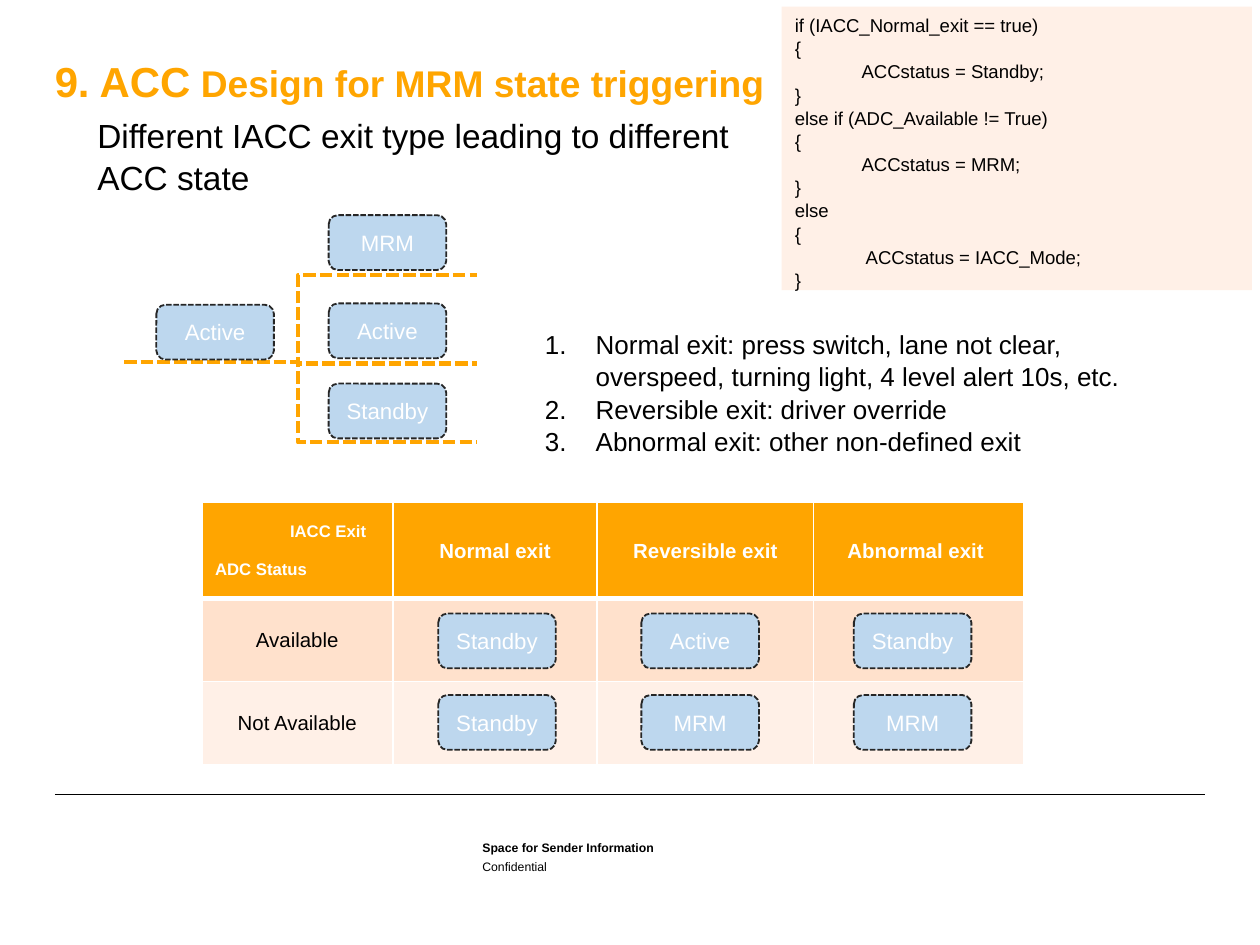
import pptx
import pptx.util
import pptx.dml.color
import pptx.enum.dml
import pptx.enum.shapes
import pptx.enum.text
import pptx.oxml.ns
import lxml.etree

PX = 9144  # EMU per px, 100 px to the inch
FONT = "Arial"
COLORS = {
    "orange": "FFA500", "peach": "FFE1CC", "cream": "FFF0E7", "blue": "BDD7EE",
    "outline": "262626", "black": "000000", "white": "FFFFFF",
}
ALIGN = pptx.enum.text.PP_ALIGN
ANCHOR = pptx.enum.text.MSO_ANCHOR
SHAPE = pptx.enum.shapes.MSO_SHAPE
CONNECTOR = pptx.enum.shapes.MSO_CONNECTOR
DASH = pptx.enum.dml.MSO_LINE.SQUARE_DOT
STATE_SIZE = (88, 41)

CODE = """if (IACC_Normal_exit == true)
{
\tACCstatus = Standby;
}
else if (ADC_Available != True)
{
\tACCstatus = MRM;
}
else
{
\t ACCstatus = IACC_Mode;
}"""
EXITS = [
    "Normal exit: press switch, lane not clear, overspeed, turning light, 4 level alert 10s, etc.",
    "Reversible exit: driver override",
    "Abnormal exit: other non-defined exit",
]
HEADERS = ["Normal exit", "Reversible exit", "Abnormal exit "]
STATES = {
    "Available": ["Standby", "Active", "Standby"],
    "Not Available": ["Standby", "MRM", "MRM"],
}


def emu(*lengths):
    return [pptx.util.Emu(length * PX) for length in lengths]


def rgb(name):
    return pptx.dml.color.RGBColor.from_string(COLORS[name])


def add_xml(parent, tag, **attributes):
    return lxml.etree.SubElement(parent, pptx.oxml.ns.qn(tag), attributes)


def style_text(frame, size, color="black", bold=False, align=ALIGN.LEFT, spacing=1.0):
    for para in frame.paragraphs:
        para.alignment = align
        para.line_spacing = spacing
        for span in para.runs:
            span.font.name = FONT
            span.font.size = pptx.util.Pt(size)
            span.font.bold = bold
            span.font.color.rgb = rgb(color)


def set_margins(target, left, top, right, bottom):
    (target.margin_left, target.margin_top,
     target.margin_right, target.margin_bottom) = emu(left, top, right, bottom)


def add_text(page, box, text, size, **style):
    frame = page.shapes.add_textbox(*emu(*box)).text_frame
    frame.word_wrap = True
    frame.text = text
    style_text(frame, size, **style)
    return frame


def add_line(page, kind, start, end, color, width):
    line = page.shapes.add_connector(kind, *emu(*start, *end))
    line.line.color.rgb = rgb(color)
    line.line.width = pptx.util.Pt(width)
    add_xml(line._element.spPr, "a:effectLst")
    return line


def add_state(page, left, top, name):
    state = page.shapes.add_shape(SHAPE.ROUNDED_RECTANGLE, *emu(left, top, *STATE_SIZE))
    state.shadow.inherit = False
    state.fill.solid()
    state.fill.fore_color.rgb = rgb("blue")
    state.line.color.rgb = rgb("outline")
    state.line.width = pptx.util.Pt(1)
    state.line.dash_style = DASH
    frame = state.text_frame
    frame.text = name
    frame.vertical_anchor = ANCHOR.MIDDLE
    style_text(frame, 12, "white", align=ALIGN.CENTER)


def add_title(page, box):
    title = page.shapes.title
    title.left, title.top, title.width, title.height = emu(*box)
    frame = title.text_frame
    frame.auto_size = pptx.enum.text.MSO_AUTO_SIZE.NONE
    frame.vertical_anchor = ANCHOR.BOTTOM
    set_margins(frame, 0, 0, 10, 0)
    para = frame.paragraphs[0]
    for text in ("9. ACC", " Design for MRM state triggering"):
        para.add_run().text = text
    style_text(frame, 20, "orange", bold=True, spacing=0.95)
    para.runs[0].font.size = pptx.util.Pt(22.6)


def add_code(page, box):
    panel = page.shapes.add_shape(SHAPE.RECTANGLE, *emu(*box))
    panel.shadow.inherit = False
    panel.fill.solid()
    panel.fill.fore_color.rgb = rgb("cream")
    panel.line.fill.background()
    frame = panel.text_frame
    frame.text = CODE
    frame.vertical_anchor = ANCHOR.TOP
    style_text(frame, 10, spacing=1.04)


def add_transitions(page, box):
    left, top, width, height = box
    source = (left, top + 65)
    # Branches from the active state to each exit state
    for drop in (0, 66, height):
        branch = add_line(page, CONNECTOR.ELBOW, source, (left + width, top + drop), "orange", 2.25)
        branch.line.dash_style = DASH
        guides = branch._element.spPr.find(".//" + pptx.oxml.ns.qn("a:avLst"))
        add_xml(guides, "a:gd", name="adj1", fmla="val 49300")
    # States standing on the branches
    add_state(page, left + 24, top + 22, "Active")
    for rise, name in ((-45, "MRM"), (21, "Active"), (81, "Standby")):
        add_state(page, left + 153, top + rise, name)


def add_exit_list(page, box):
    frame = add_text(page, box, "\n".join(EXITS), 14, spacing=1.04)
    for para in frame.paragraphs:
        properties = para._p.get_or_add_pPr()
        indent = 38 * PX
        properties.set("marL", str(indent))
        properties.set("indent", str(-indent))
        add_xml(properties, "a:buAutoNum", type="arabicPeriod")


def style_cell(cell, fill, bottom_width):
    properties = cell._tc.get_or_add_tcPr()
    for side, width in (("L", 1), ("R", 1), ("T", 1), ("B", bottom_width)):
        border = add_xml(properties, "a:ln" + side, w=str(pptx.util.Pt(width)))
        add_xml(add_xml(border, "a:solidFill"), "a:srgbClr", val=COLORS["white"])
    cell.fill.solid()
    cell.fill.fore_color.rgb = rgb(fill)
    cell.vertical_anchor = ANCHOR.MIDDLE


def add_exit_table(page, box):
    left, top = box[:2]
    widths, heights = (143, 153, 162, 157), (72, 62, 62)
    table = page.shapes.add_table(3, 4, *emu(*box)).table
    for column, width in zip(table.columns, emu(*widths)):
        column.width = width
    for row, height in zip(table.rows, emu(*heights)):
        row.height = height
    for row, fill in enumerate(("orange", "peach", "cream")):
        for cell in table.rows[row].cells:
            style_cell(cell, fill, 3 if row == 0 else 1)
    # Header row
    corner = table.cell(0, 0)
    corner.text = "IACC Exit\nADC Status"
    corner.margin_right = emu(20)[0]
    style_text(corner.text_frame, 9, "white", bold=True)
    exit_para, status_para = corner.text_frame.paragraphs
    exit_para.alignment = ALIGN.RIGHT
    status_para.space_before = pptx.util.Pt(10)
    for column, header in enumerate(HEADERS, 1):
        cell = table.cell(0, column)
        cell.text = header
        set_margins(cell, 1, 1, 1, 0)
        style_text(cell.text_frame, 11, "white", bold=True, align=ALIGN.CENTER)
    # Status rows with the resulting states
    for row, (status, names) in enumerate(STATES.items(), 1):
        cell = table.cell(row, 0)
        cell.text = status
        style_text(cell.text_frame, 11, align=ALIGN.CENTER)
        for offset, name in zip((177, 329, 488), names):
            add_state(page, left + offset, top + 22 + 61 * row, name)


def add_footer(page, box):
    left, top, width, height = box
    add_line(page, CONNECTOR.STRAIGHT, (left, top), (left + width, top), "black", 0.35)
    for drop, text, bold in ((33, "Space for Sender Information", True), (47, "Confidential", False)):
        frame = add_text(page, (left + 320, top + drop, 281, height - 47), text, 6.6, bold=bold)
        set_margins(frame, 0, 0, 0, 0)
        frame.vertical_anchor = ANCHOR.BOTTOM


def main():
    deck = pptx.Presentation()
    deck.slide_width, deck.slide_height = emu(943, 707)
    page = deck.slides.add_slide(deck.slide_layouts[5])
    add_footer(page, (41, 594, 861, 60))
    add_title(page, (41, 39, 861, 41))
    add_text(page, (63, 80, 544, 71), "Different IACC exit type leading to different ACC state",
             18, spacing=1.04)
    add_transitions(page, (93, 206, 264, 125))
    add_exit_list(page, (398, 240, 508, 104))
    add_exit_table(page, (151, 376, 615, 196))
    add_code(page, (585, 5, 352, 212))
    deck.save("out.pptx")


if __name__ == "__main__":
    main()
